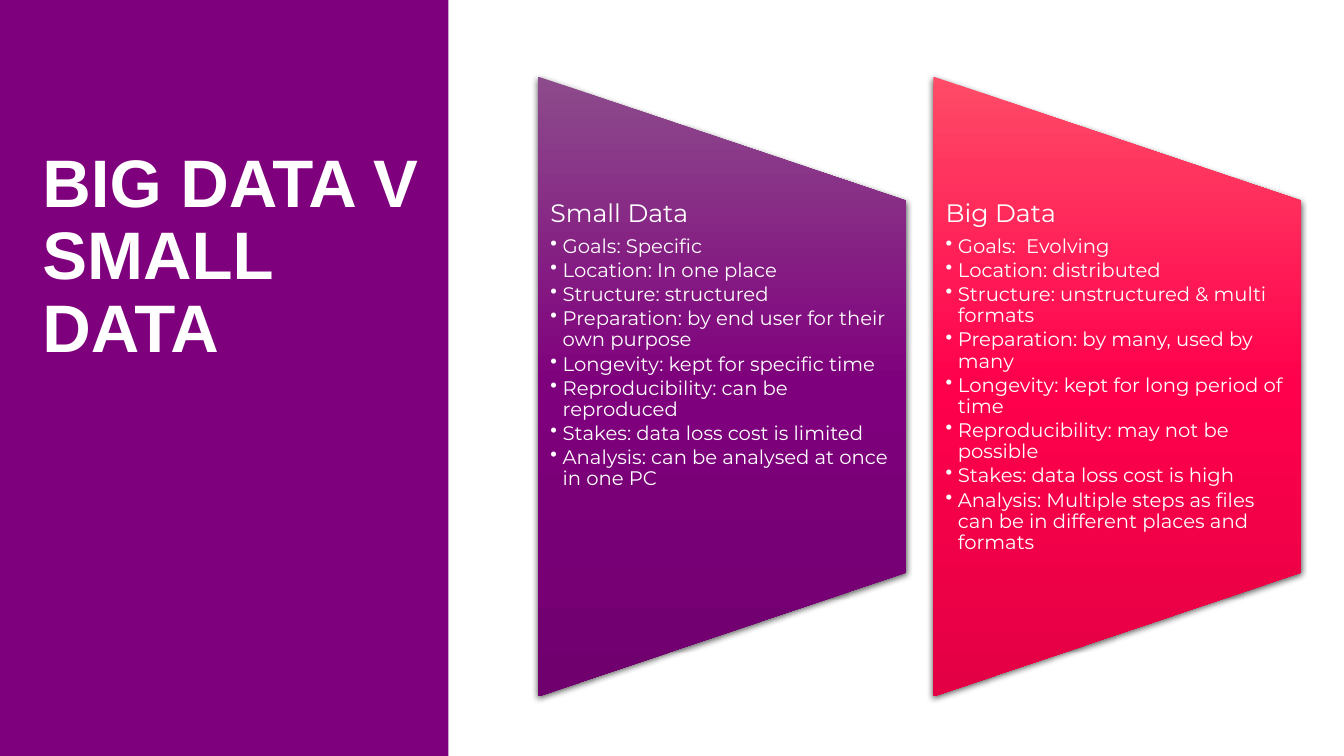
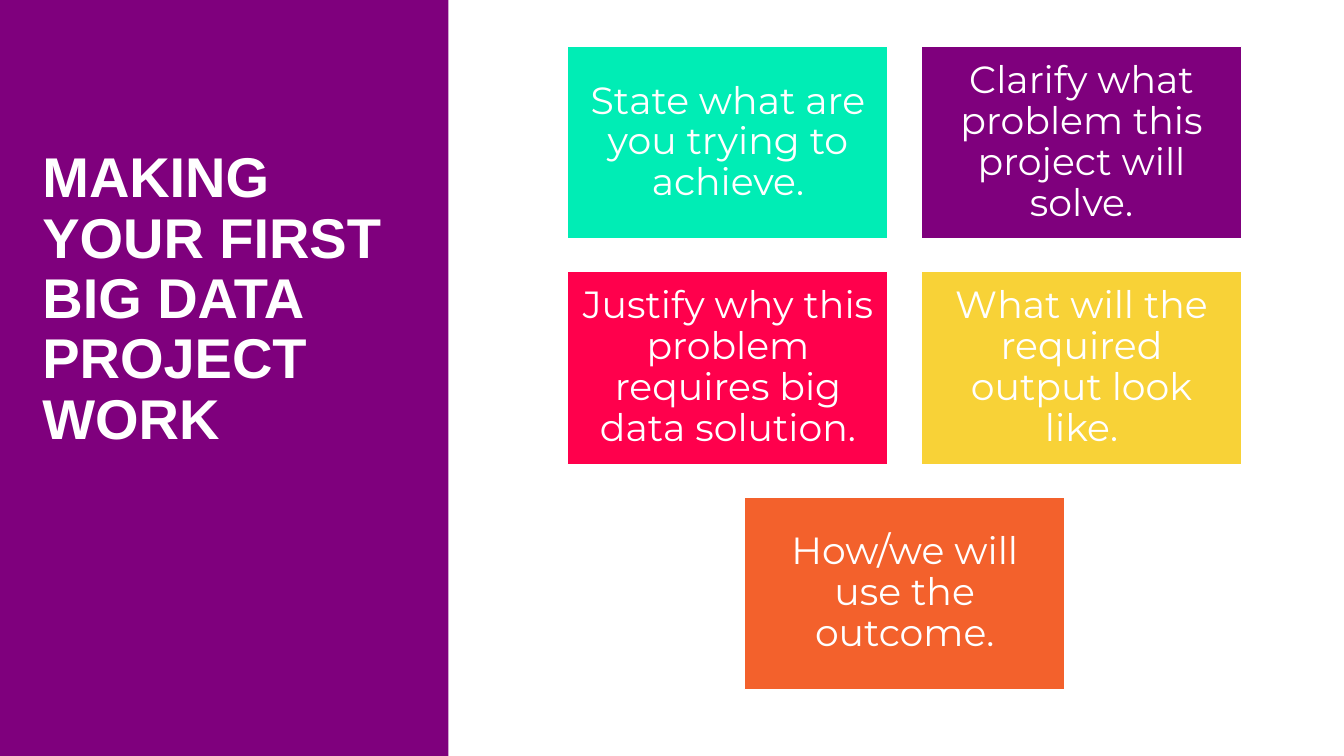
from pptx import Presentation
from pptx.dml.color import RGBColor
from pptx.enum.shapes import MSO_SHAPE as SHAPE
from pptx.enum.text import MSO_ANCHOR as ANCHOR, PP_ALIGN as ALIGN
from pptx.oxml import parse_xml
from pptx.oxml.ns import nsdecls, qn
from pptx.util import Cm, Pt

# Shared look
WHITE, PURPLE, RED = "FFFFFF", "7F007D", "FF004C"
TITLE_FONT, BODY_FONT = "Arial", "Montserrat"
SLIDE_W, SLIDE_H = 33.87, 19.05
PANEL_W = 11.3

# Comparison columns: gradient colours, heading, bullets
COLUMNS = [
    (("8D4B8C", PURPLE, "71006F"), "Small Data", [
        "Goals: Specific",
        "Location: In one place",
        "Structure: structured",
        "Preparation: by end user for their own purpose",
        "Longevity: kept for specific time",
        "Reproducibility: can be reproduced",
        "Stakes: data loss cost is limited",
        "Analysis: can be analysed at once in one PC",
    ]),
    (("FF4B67", RED, "E30044"), "Big Data", [
        "Goals:  Evolving",
        "Location: distributed",
        "Structure: unstructured & multi formats",
        "Preparation: by many, used by many",
        "Longevity: kept for long period of time",
        "Reproducibility: may not be possible",
        "Stakes: data loss cost is high",
        "Analysis: Multiple steps as files can be in different places and formats",
    ]),
]

# Project cards, row by row
CARD_ROWS = [
    [("State what are you trying to achieve.", "00EDB5"),
     ("Clarify what problem this project will solve.", PURPLE)],
    [("Justify why this problem requires big data solution.", RED),
     ("What will the required output look like.", "F8D237")],
    [("How/we will use the outcome.", "F3612C")],
]


def rgb(color):
    return RGBColor.from_string(color)


def set_frame(tf, margins=(0, 0, 0, 0), anchor=ANCHOR.TOP):
    tf.word_wrap = True
    tf.vertical_anchor = anchor
    tf.margin_left, tf.margin_top, tf.margin_right, tf.margin_bottom = map(Cm, margins)


def write(p, text, size, font=BODY_FONT, bold=False, align=ALIGN.LEFT, after=0):
    p.text = text
    p.alignment = align
    p.line_spacing = 0.9
    p.space_after = Pt(after)
    for r in p.runs:
        r.font.size = Pt(size)
        r.font.name = font
        r.font.bold = bold
        r.font.color.rgb = rgb(WHITE)


def add_bullet(p):
    p.level = 1
    pPr = p._p.get_or_add_pPr()
    pPr.set("marL", str(Cm(0.31)))
    pPr.set("indent", str(-Cm(0.31)))
    pPr.append(parse_xml(f'<a:buChar {nsdecls("a")} char="•"/>'))


def add_box(slide, left, top, width, height, color, line=None):
    sp = slide.shapes.add_shape(SHAPE.RECTANGLE, Cm(left), Cm(top), Cm(width), Cm(height))
    sp.shadow.inherit = False
    sp.fill.solid()
    sp.fill.fore_color.rgb = rgb(color)
    if line:
        sp.line.color.rgb = rgb(line)
        sp.line.width = Pt(1)
    else:
        sp.line.fill.background()
    return sp


def add_titled_slide(prs, title, size):
    slide = prs.slides.add_slide(prs.slide_layouts[6])
    add_box(slide, 0, 0, PANEL_W, SLIDE_H, PURPLE)
    tf = slide.shapes.add_textbox(Cm(1.07), Cm(3.76), Cm(9.58), Cm(7.65)).text_frame
    set_frame(tf)
    write(tf.paragraphs[0], title, size, TITLE_FONT, bold=True)
    return slide


def add_trapezoid(slide, left, top, width, height, colors):
    # Drawn lying down, then turned a quarter so that the long side is on the left
    sp = slide.shapes.add_shape(
        SHAPE.FLOWCHART_MANUAL_OPERATION,
        Cm(left + (width - height) / 2), Cm(top + (height - width) / 2),
        Cm(height), Cm(width))
    sp.rotation = 270
    sp.line.fill.background()
    sp.shadow.inherit = False
    sp.fill.gradient()
    spPr = sp._element.spPr

    # Vertical gradient that does not turn with the shape
    stops = "".join(
        f'<a:gs pos="{i * 50000}"><a:srgbClr val="{color}"/></a:gs>'
        for i, color in enumerate(colors))
    spPr.replace(spPr.find(qn("a:gradFill")), parse_xml(
        f'<a:gradFill {nsdecls("a")} rotWithShape="0"><a:gsLst>{stops}</a:gsLst>'
        '<a:lin ang="5400000" scaled="0"/></a:gradFill>'))

    # Soft shadow below
    spPr.find(qn("a:effectLst")).append(parse_xml(
        f'<a:outerShdw {nsdecls("a")} blurRad="{Pt(4.5)}" dist="{Pt(1.5)}" '
        'dir="5400000" rotWithShape="0"><a:srgbClr val="000000">'
        '<a:alpha val="63000"/></a:srgbClr></a:outerShdw>'))


def add_column(slide, left, colors, heading, bullets):
    width = 9.27
    add_trapezoid(slide, left, 1.93, width, 15.62, colors)
    tf = slide.shapes.add_textbox(Cm(left), Cm(5.05), Cm(width), Cm(9.37)).text_frame
    set_frame(tf, (0.31, 0, 0.33, 0))
    write(tf.paragraphs[0], heading, 18, after=6.3)
    for text in bullets:
        p = tf.add_paragraph()
        write(p, text, 14, after=2.1)
        add_bullet(p)


def add_card_grid(slide, rows):
    width, height, gap = 8.08, 4.85, 0.83
    center, top = 22.8, 1.17
    for i, row in enumerate(rows):
        row_width = len(row) * (width + gap) - gap
        for j, (text, color) in enumerate(row):
            sp = add_box(slide, center - row_width / 2 + j * (width + gap),
                         top + i * (height + gap), width, height, color, WHITE)
            set_frame(sp.text_frame, (0.28,) * 4, ANCHOR.MIDDLE)
            write(sp.text_frame.paragraphs[0], text, 27, align=ALIGN.CENTER, after=9.45)


def main():
    prs = Presentation()
    prs.slide_width, prs.slide_height = Cm(SLIDE_W), Cm(SLIDE_H)

    # Comparison
    slide = add_titled_slide(prs, "BIG DATA V SMALL DATA", 48)
    for i, column in enumerate(COLUMNS):
        add_column(slide, 13.56 + i * 9.96, *column)

    # Project steps
    slide = add_titled_slide(prs, "MAKING YOUR FIRST BIG DATA PROJECT WORK", 40)
    add_card_grid(slide, CARD_ROWS)

    prs.save("out.pptx")


if __name__ == "__main__":
    main()
